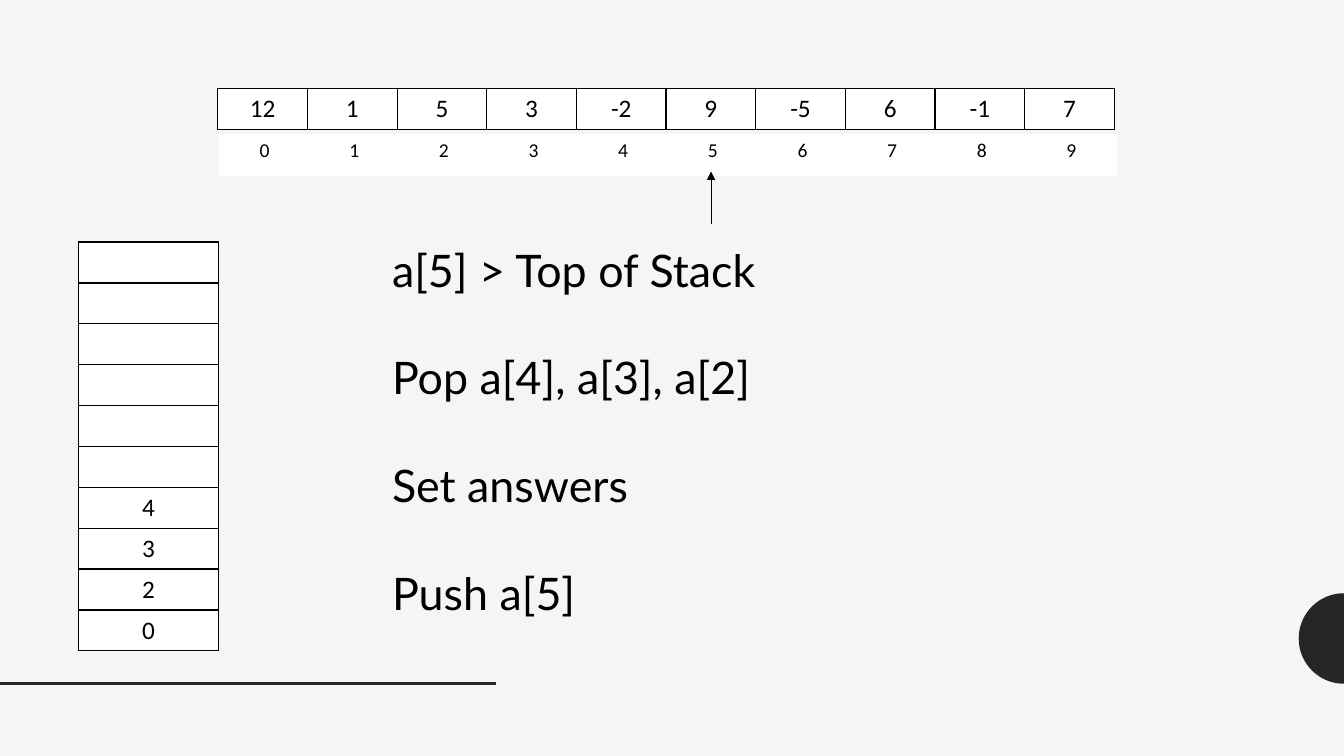
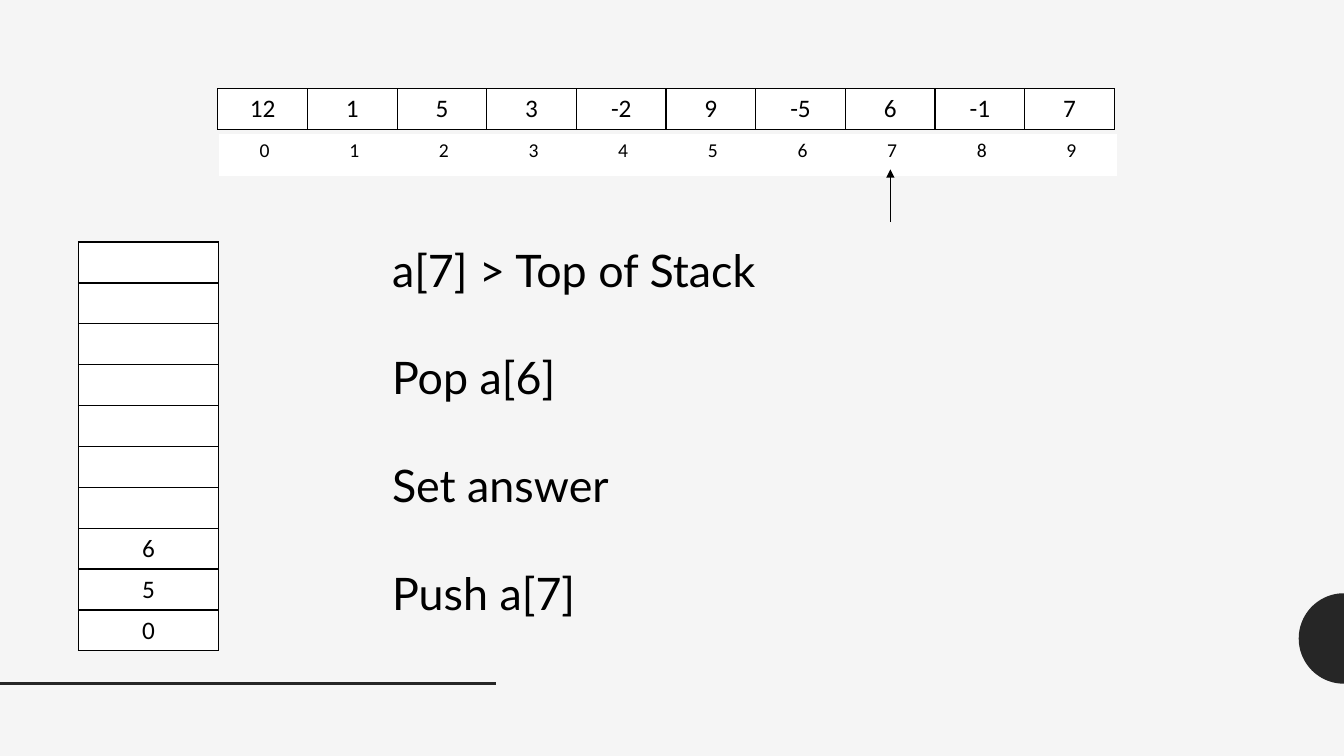
from dataclasses import dataclass
from math import cos, pi, sin
from typing import Any

from lxml.etree import SubElement
from pptx import Presentation
from pptx.dml.color import RGBColor
from pptx.enum.shapes import MSO_CONNECTOR as Connector
from pptx.enum.text import MSO_AUTO_SIZE as AutoSize, PP_ALIGN as Align
from pptx.oxml.ns import qn
from pptx.slide import Slide
from pptx.util import Cm, Pt


@dataclass(frozen=True)
class Theme:
    paper: RGBColor = RGBColor(0xF5, 0xF5, 0xF5)
    cell: RGBColor = RGBColor(0xFF, 0xFF, 0xFF)
    ink: RGBColor = RGBColor(0x00, 0x00, 0x00)
    accent: RGBColor = RGBColor(0x26, 0x26, 0x26)
    cell_font: str = "Calibri"
    step_font: str = "Lato"
    value_size: float = 18
    index_size: float = 14
    step_size: float = 32
    step_gap: float = 38.4
    border: float = 1
    rule: float = 2
    arrow: float = 0.5


@dataclass(frozen=True)
class Grid:
    """A table's place and cell size in centimetres."""
    left: float
    top: float
    column: float
    row: float
    size: float
    bordered: bool = True


@dataclass(frozen=True)
class Step:
    """One state of the stack while the array is scanned."""
    current: int
    stack: list[str]
    lines: list[str]
    arrow_top: float


THEME = Theme()
PAGE_WIDTH, PAGE_HEIGHT = 33.87, 19.05
ARROW_LENGTH = 1.33
STACK_DEPTH = 10

VALUES = ["12", "1", "5", "3", "-2", "9", "-5", "6", "-1", "7"]
INDICES = [str(index) for index in range(len(VALUES))]

VALUE_GRID = Grid(5.49, 2.24, 2.26, 1.03, THEME.value_size)
INDEX_GRID = Grid(5.54, 3.38, 2.26, 1.03, THEME.index_size, bordered=False)
STACK_GRID = Grid(1.98, 6.1, 3.53, 1.03, THEME.value_size)

STEPS = [
    Step(5, ["4", "3", "2", "0"],
         ["a[5] > Top of Stack", "Pop a[4], a[3], a[2]", "Set answers", "Push a[5]"], 4.32),
    Step(7, ["6", "5", "0"],
         ["a[7] > Top of Stack", "Pop a[6]", "Set answer", "Push a[7]"], 4.27),
]


def set_attributes(target: Any, values: dict[str, Any]) -> None:
    for name, value in values.items():
        setattr(target, name, value)


def add_span(para: Any, text: str, font: str, size: float) -> None:
    span = para.add_run()
    span.text = text
    set_attributes(span.font, {"name": font, "size": Pt(size), "bold": False})
    span.font.color.rgb = THEME.ink


def add_border(cell: Any) -> None:
    """Outline a cell; call before its fill is set, as the XML order requires."""
    properties = cell._tc.get_or_add_tcPr()
    for side in ("a:lnL", "a:lnR", "a:lnT", "a:lnB"):
        line = SubElement(properties, qn(side), w=str(Pt(THEME.border)))
        fill = SubElement(line, qn("a:solidFill"))
        SubElement(fill, qn("a:srgbClr"), val=str(THEME.ink))


def add_grid(page: Slide, grid: Grid, rows: list[list[str]]) -> None:
    row_count, column_count = len(rows), len(rows[0])
    table = page.shapes.add_table(
        row_count, column_count, Cm(grid.left), Cm(grid.top),
        Cm(grid.column * column_count), Cm(grid.row * row_count)).table
    set_attributes(table, {"first_row": False, "horz_banding": False})
    for column in table.columns:
        column.width = Cm(grid.column)
    for row, texts in zip(table.rows, rows):
        row.height = Cm(grid.row)
        for cell, text in zip(row.cells, texts):
            if grid.bordered:
                add_border(cell)
            cell.fill.solid()
            cell.fill.fore_color.rgb = THEME.cell
            para = cell.text_frame.paragraphs[0]
            para.alignment = Align.CENTER
            if text:
                add_span(para, text, THEME.cell_font, grid.size)


def add_line(page: Slide, start: tuple[float, float], end: tuple[float, float],
             color: RGBColor, width: float, arrow: bool = False) -> None:
    connector = page.shapes.add_connector(
        Connector.STRAIGHT, *(Cm(length) for length in (*start, *end)))
    connector.line.color.rgb = color
    connector.line.width = Pt(width)
    if arrow:
        SubElement(connector.line._get_or_add_ln(), qn("a:tailEnd"), type="triangle")
    SubElement(connector.element.spPr, qn("a:effectLst"))


def add_half_disc(page: Slide, center_y: float, radius: float, segments: int = 48) -> None:
    """Draw a half disc whose flat side lies on the right page edge."""
    angles = [pi * step / segments for step in range(segments + 1)]
    points = [(Cm(PAGE_WIDTH - radius * sin(angle)), Cm(center_y - radius * cos(angle)))
              for angle in angles]
    outline = page.shapes.build_freeform(*points[0])
    outline.add_line_segments(points[1:], close=True)
    disc = outline.convert_to_shape()
    disc.shadow.inherit = False
    disc.fill.solid()
    disc.fill.fore_color.rgb = THEME.accent
    disc.line.fill.background()


def add_step_text(page: Slide, lines: list[str]) -> None:
    box = page.shapes.add_textbox(Cm(9.63), Cm(5.99), Cm(15.34), Cm(9.83))
    frame = box.text_frame
    set_attributes(frame, {"word_wrap": True, "auto_size": AutoSize.SHAPE_TO_FIT_TEXT})
    for number, line in enumerate(lines):
        para = frame.add_paragraph() if number else frame.paragraphs[0]
        if number:
            para.space_before = Pt(THEME.step_gap)
        add_span(para, line, THEME.step_font, THEME.step_size)


def add_step(page: Slide, step: Step) -> None:
    add_half_disc(page, center_y=16.09, radius=1.14)
    add_line(page, (0, 17.22), (12.5, 17.22), THEME.accent, THEME.rule)

    add_grid(page, VALUE_GRID, [VALUES])
    add_grid(page, INDEX_GRID, [INDICES])
    free_cells = [""] * (STACK_DEPTH - len(step.stack))
    add_grid(page, STACK_GRID, [[entry] for entry in free_cells + step.stack])

    add_step_text(page, step.lines)
    arrow_x = VALUE_GRID.left + (step.current + 0.5) * VALUE_GRID.column
    add_line(page, (arrow_x, step.arrow_top + ARROW_LENGTH), (arrow_x, step.arrow_top),
             THEME.ink, THEME.arrow, arrow=True)


def main() -> None:
    deck = Presentation()
    set_attributes(deck, {"slide_width": Cm(PAGE_WIDTH), "slide_height": Cm(PAGE_HEIGHT)})
    background = deck.slide_master.background.fill
    background.solid()
    background.fore_color.rgb = THEME.paper
    blank = deck.slide_layouts[6]
    for step in STEPS:
        add_step(deck.slides.add_slide(blank), step)
    deck.save("out.pptx")


if __name__ == "__main__":
    main()
